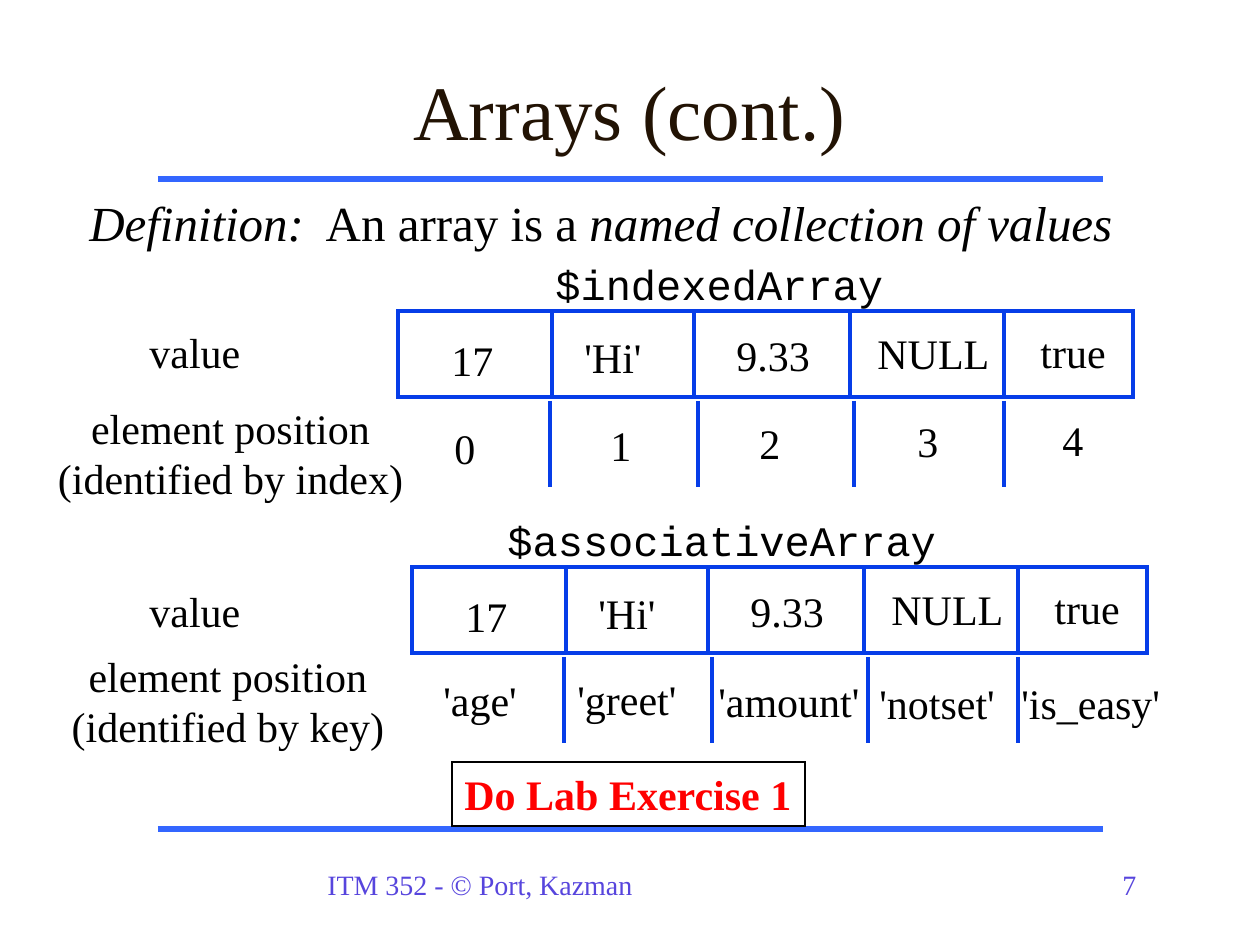
from lxml.etree import SubElement
from pptx import Presentation
from pptx.dml.color import RGBColor
from pptx.enum.shapes import MSO_CONNECTOR, MSO_SHAPE
from pptx.enum.text import MSO_ANCHOR, MSO_AUTO_SIZE, PP_ALIGN
from pptx.oxml.ns import qn
from pptx.util import Pt

PX_PER_INCH = 126
SERIF, MONO = "Times New Roman", "Courier New"
BLACK = RGBColor(0x00, 0x00, 0x00)
RED = RGBColor(0xFF, 0x00, 0x00)
BROWN = RGBColor(0x22, 0x13, 0x04)
RULE_BLUE = RGBColor(0x33, 0x66, 0xFF)
ARRAY_BLUE = RGBColor(0x06, 0x3D, 0xE8)
FOOTER_VIOLET = RGBColor(0x57, 0x45, 0xDD)

# Array geometry, relative to the array's top left corner
ARRAY_WIDTH, ARRAY_HEIGHT = 735, 86
VALUE_DIVIDERS = (154, 296, 452, 606)
POSITION_DIVIDERS = (152, 300, 456, 606)
POSITION_TOP = 90
LINE_HEIGHT = 63

# Cell entries: text, left, top, width
VALUES = (("17", 41, 17, 68), ("'Hi'", 174, 14, 84), ("9.33", 326, 12, 100),
          ("NULL", 467, 10, 139), ("true", 630, 9, 93))
INDEXES = (("0", 44, 105, 46), ("1", 200, 102, 46), ("2", 349, 100, 46),
           ("3", 507, 98, 46), ("4", 652, 97, 46))
KEYS = (("'age'", 19, 101, 110), ("'greet'", 153, 100, 126),
        ("'amount'", 294, 102, 167), ("'notset'", 455, 104, 143),
        ("'is_easy'", 597, 104, 165))


def px(length):
    return round(length * 914400 / PX_PER_INCH)


def add_line(slide, x1, y1, x2, y2, color, width):
    line = slide.shapes.add_connector(
        MSO_CONNECTOR.STRAIGHT, px(x1), px(y1), px(x2), px(y2))
    line.line.color.rgb = color
    line.line.width = Pt(width)
    SubElement(line._element.spPr, qn("a:effectLst"))


def add_frame(slide, left, top, width, height, color, line_width):
    frame = slide.shapes.add_shape(
        MSO_SHAPE.RECTANGLE, px(left), px(top), px(width), px(height))
    frame.shadow.inherit = False
    frame.fill.background()
    frame.line.color.rgb = color
    frame.line.width = Pt(line_width)
    # Square corners
    outline = frame._element.spPr.find(qn("a:ln"))
    SubElement(outline, qn("a:miter"), lim="800000")
    return frame


def write(frame, text, size=24, color=BLACK, font=SERIF,
          align=PP_ALIGN.LEFT, bold=False):
    frame.text = text
    for paragraph in frame.paragraphs:
        paragraph.alignment = align
        for run in paragraph.runs:
            run.font.size = Pt(size)
            run.font.name = font
            run.font.color.rgb = color
            run.font.bold = bold


def fit_to_text(frame):
    frame.word_wrap = False
    frame.auto_size = MSO_AUTO_SIZE.SHAPE_TO_FIT_TEXT


def add_text(slide, text, left, top, width, height=LINE_HEIGHT, wrap=False,
             **style):
    box = slide.shapes.add_textbox(px(left), px(top), px(width), px(height))
    frame = box.text_frame
    if wrap:
        frame.word_wrap = True
    else:
        fit_to_text(frame)
    write(frame, text, **style)
    return frame


def add_definition(slide):
    frame = add_text(slide, "", 77, 186, 1071, 122, wrap=True)
    for text, italic in (("Definition:", True), ("  An array is a ", False),
                         ("named collection of values", True)):
        run = frame.paragraphs[0].add_run()
        run.text = text
        run.font.size = Pt(28)
        run.font.name = SERIF
        run.font.color.rgb = BLACK
        run.font.italic = italic


def add_array(slide, left, top, positions):
    add_frame(slide, left, top, ARRAY_WIDTH, ARRAY_HEIGHT, ARRAY_BLUE, 2)
    for dividers, offset in ((VALUE_DIVIDERS, 0),
                             (POSITION_DIVIDERS, POSITION_TOP)):
        for x in dividers:
            add_line(slide, left + x, top + offset, left + x,
                     top + offset + ARRAY_HEIGHT, ARRAY_BLUE, 2)
    for text, x, y, width in VALUES + positions:
        add_text(slide, text, left + x, top + y, width)


def add_exercise(slide):
    exercise = add_frame(slide, 452, 762, 353, 64, BLACK, 1)
    frame = exercise.text_frame
    fit_to_text(frame)
    frame.vertical_anchor = MSO_ANCHOR.TOP
    write(frame, "Do Lab Exercise 1", color=RED, bold=True)


def main():
    prs = Presentation()
    prs.slide_width, prs.slide_height = px(1260), px(945)
    slide = prs.slides.add_slide(prs.slide_layouts[6])

    # Rules and footer
    for y in (179, 829):
        add_line(slide, 158, y, 1103, y, RULE_BLUE, 3)
    for text, left, width in (("ITM 352 - © Port, Kazman", 315, 525),
                              ("7", 1110, 67)):
        add_text(slide, text, left, 861, width, 47, wrap=True,
                 size=16, color=FOOTER_VIOLET)

    # Title and definition
    title = add_text(slide, "Arrays (cont.)", 94, 31, 1071, 158, wrap=True,
                     size=44, color=BROWN, align=PP_ALIGN.CENTER)
    title.vertical_anchor = MSO_ANCHOR.MIDDLE
    add_definition(slide)

    # Indexed array
    add_array(slide, 398, 311, INDEXES)
    add_text(slide, "$indexedArray", 543, 252, 353, font=MONO)
    add_text(slide, "value", 137, 320, 117)
    add_text(slide, "element position\n(identified by index)",
             45, 396, 371, 113, align=PP_ALIGN.CENTER)

    # Associative array
    add_array(slide, 412, 567, KEYS)
    add_text(slide, "$associativeArray", 495, 508, 455, font=MONO)
    add_text(slide, "value", 137, 579, 117)
    add_text(slide, "element position\n(identified by key)",
             59, 644, 338, 113, align=PP_ALIGN.CENTER)

    add_exercise(slide)
    prs.save("out.pptx")


if __name__ == "__main__":
    main()
